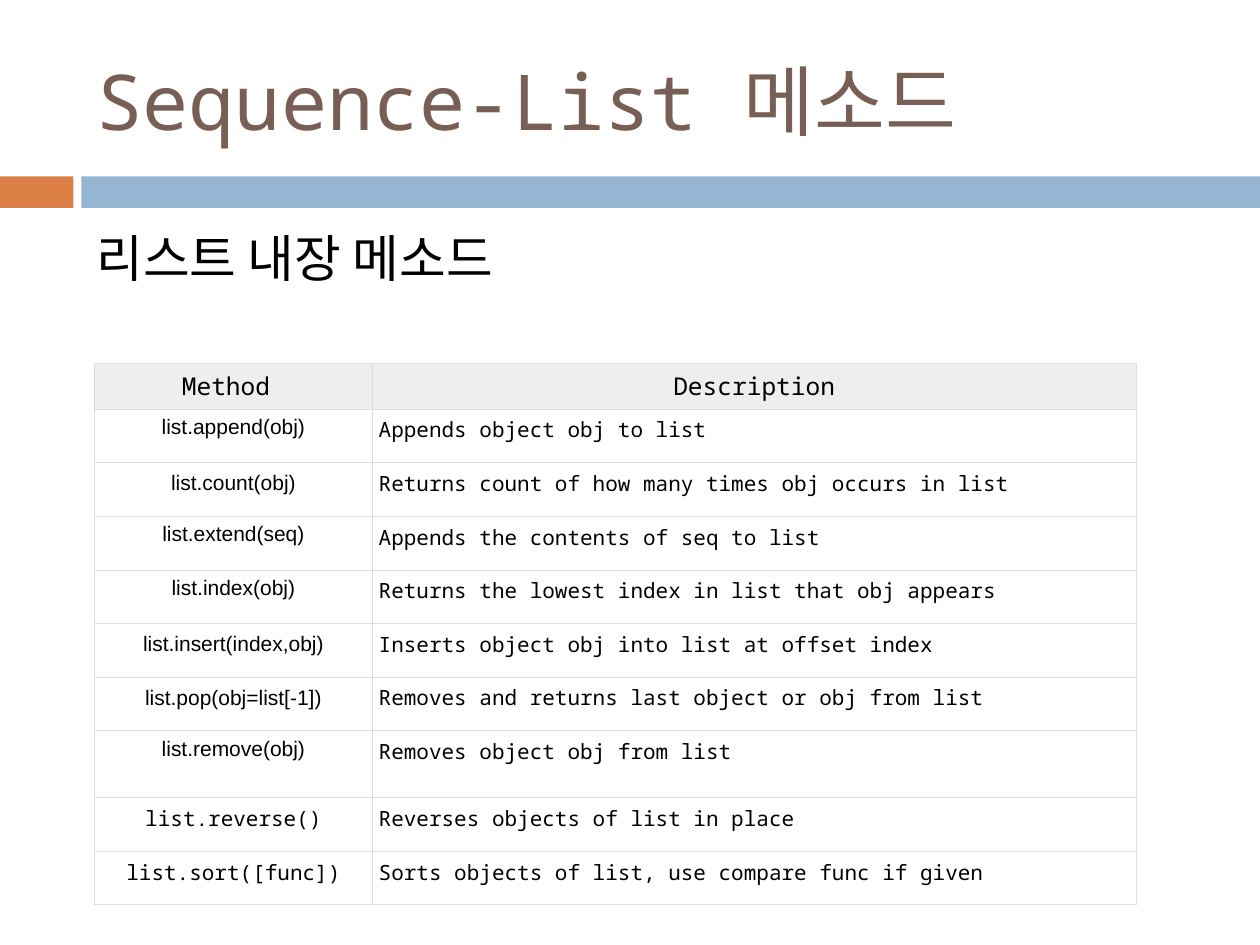
from dataclasses import dataclass

from lxml.etree import SubElement
from pptx import Presentation
from pptx.dml.color import RGBColor
from pptx.enum.shapes import MSO_SHAPE
from pptx.enum.text import MSO_ANCHOR, PP_ALIGN
from pptx.oxml.ns import qn
from pptx.util import Pt


@dataclass(frozen=True)
class Theme:
    mono: str = "Noto Sans Mono"
    sans: str = "Arial"
    brown: str = "775F55"
    orange: str = "DD8047"
    blue: str = "94B6D2"
    black: str = "000000"
    gray: str = "EEEEEE"
    rule: str = "DDDDDD"
    title: float = 44
    body: float = 29
    head: float = 14
    cell: float = 12


class Deck:
    def __init__(self, theme):
        self.theme = theme
        self.prs = Presentation()
        self.prs.slide_width, self.prs.slide_height = Pt(720), Pt(540)
        self.slide = self.prs.slides.add_slide(self.prs.slide_layouts[6])

    def style(self, part, text, size, face, color, align=PP_ALIGN.LEFT):
        part.text = text
        para = part.paragraphs[0]
        para.alignment = align
        font = para.runs[0].font
        for key, value in {"size": Pt(size), "name": face}.items():
            setattr(font, key, value)
        font.color.rgb = RGBColor.from_string(color)

    def bar(self, left, top, width, height, color):
        box = map(Pt, (left, top, width, height))
        shape = self.slide.shapes.add_shape(MSO_SHAPE.RECTANGLE, *box)
        shape.shadow.inherit = False
        shape.fill.solid()
        shape.fill.fore_color.rgb = RGBColor.from_string(color)
        shape.line.fill.background()

    def label(self, left, top, width, height, text, size, color, anchor):
        box = map(Pt, (left, top, width, height))
        frame = self.slide.shapes.add_textbox(*box).text_frame
        for key, value in {"word_wrap": True, "vertical_anchor": anchor}.items():
            setattr(frame, key, value)
        self.style(frame, text, size, self.theme.mono, color)

    def border(self, cell):
        """Rule all four sides; the lines must precede the fill."""
        props = cell._tc.get_or_add_tcPr()
        for side in ("lnL", "lnR", "lnT", "lnB"):
            line = SubElement(props, qn(f"a:{side}"), w=str(Pt(0.6)))
            fill = SubElement(line, qn("a:solidFill"))
            SubElement(fill, qn("a:srgbClr"), val=self.theme.rule)

    def cell(self, cell, text, size, face, align, inset, fill=None):
        self.border(cell)
        for side in ("left", "right", "top", "bottom"):
            setattr(cell, f"margin_{side}", Pt(inset))
        if fill:
            cell.fill.solid()
            cell.fill.fore_color.rgb = RGBColor.from_string(fill)
        else:
            cell.fill.background()
        self.style(cell.text_frame, text, size, face, self.theme.black, align)

    def table(self, left, top, widths, heights, heads, rows):
        theme = self.theme
        frame = self.slide.shapes.add_table(
            len(heights), len(widths), Pt(left), Pt(top),
            Pt(sum(widths)), Pt(sum(heights)))
        grid = frame.table
        for col, width in zip(grid.columns, widths):
            col.width = Pt(width)
        for row, height in zip(grid.rows, heights):
            row.height = Pt(height)
        for col, text in enumerate(heads):
            self.cell(grid.cell(0, col), text, theme.head, theme.mono,
                      PP_ALIGN.CENTER, 3.6, theme.gray)
        for row, (method, face, inset, note) in enumerate(rows, 1):
            self.cell(grid.cell(row, 0), method, theme.cell, face,
                      PP_ALIGN.CENTER, inset)
            self.cell(grid.cell(row, 1), note, theme.cell, theme.mono,
                      PP_ALIGN.LEFT, 3.6)


def main():
    theme = Theme()
    deck = Deck(theme)
    deck.bar(0, 100.8, 42, 18, theme.orange)
    deck.bar(46.5, 100.8, 673.5, 18, theme.blue)
    deck.label(48, 18, 642, 78, "Sequence-List 메소드",
               theme.title, theme.brown, MSO_ANCHOR.MIDDLE)
    deck.label(48, 126, 642, 81, "리스트 내장 메소드",
               theme.body, theme.black, MSO_ANCHOR.TOP)

    sans, mono = theme.sans, theme.mono
    slim, wide = 3.6, 5
    rows = [
        ("list.append(obj)", sans, slim, "Appends object obj to list"),
        ("list.count(obj)", sans, wide,
         "Returns count of how many times obj occurs in list"),
        ("list.extend(seq)", sans, slim, "Appends the contents of seq to list"),
        ("list.index(obj)", sans, slim,
         "Returns the lowest index in list that obj appears"),
        ("list.insert(index,obj)", sans, wide,
         "Inserts object obj into list at offset index"),
        ("list.pop(obj=list[-1])", sans, wide,
         "Removes and returns last object or obj from list"),
        ("list.remove(obj)", sans, slim, "Removes object obj from list"),
        ("list.reverse()", mono, slim, "Reverses objects of list in place"),
        ("list.sort([func])", mono, slim,
         "Sorts objects of list, use compare func if given"),
    ]
    heights = [26.3] + [30.65] * 6 + [38.2] + [30.65] * 2
    deck.table(54, 207.5, [158.8, 436.5], heights,
               ["Method ", "Description"], rows)
    deck.prs.save("out.pptx")


if __name__ == "__main__":
    main()
